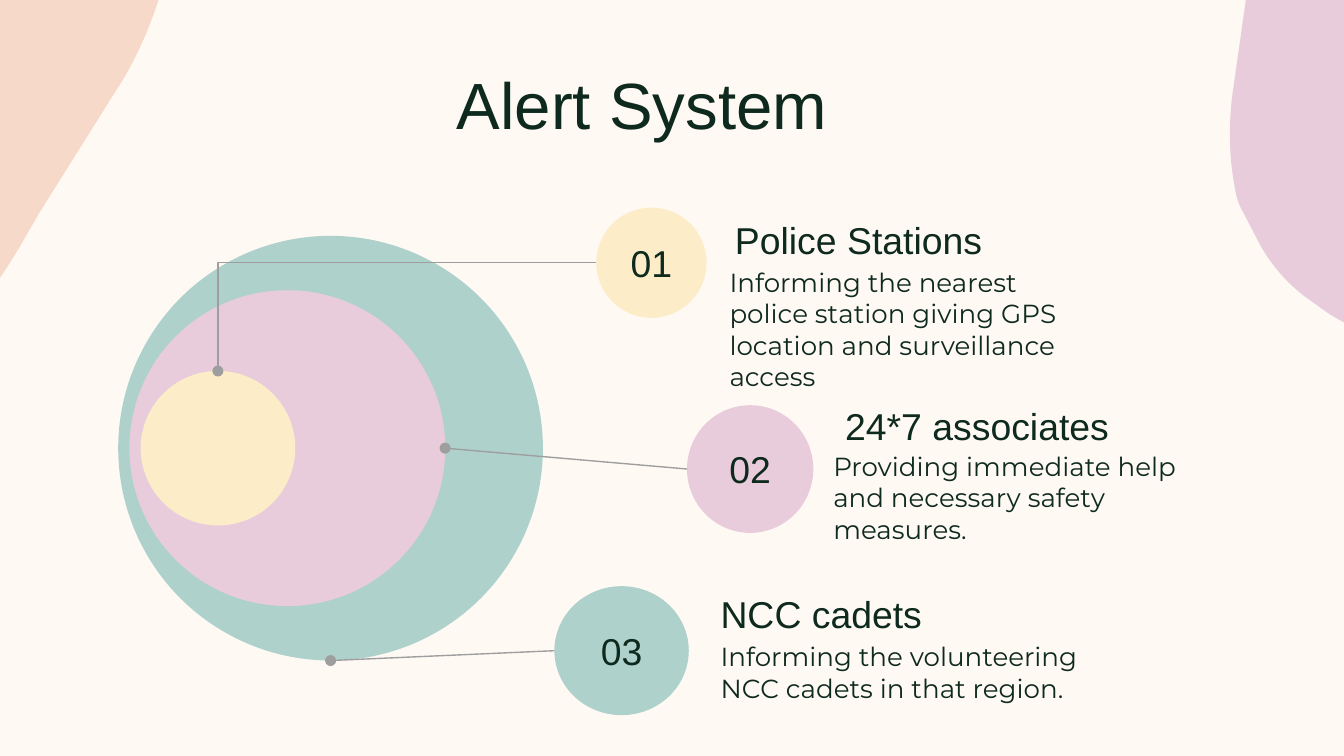
from dataclasses import dataclass
from math import cos, radians, sin

from lxml.etree import SubElement
from pptx import Presentation
from pptx.dml.color import RGBColor
from pptx.enum.shapes import MSO_CONNECTOR as Link, MSO_SHAPE as Shape
from pptx.enum.text import MSO_ANCHOR as Anchor, PP_ALIGN as Align
from pptx.oxml.ns import qn
from pptx.util import Emu, Inches, Pt

Box = tuple[float, float, float, float]
Point = tuple[float, float]

COLUMNS = 100  # square grid cells across the slide
WIDTH = Inches(10)
HEIGHT = Emu(WIDTH * 9 // 16)


@dataclass(frozen=True)
class Theme:
    background: str = "FFF9F4"
    ink: str = "0E291E"
    teal: str = "AFD1CC"
    pink: str = "E9CCDB"
    cream: str = "FDECC8"
    peach: str = "EEAE91"
    line: str = "9E9E9E"
    head_font: str = "Arial"
    body_font: str = "Montserrat"
    title_size: int = 35
    head_size: int = 20
    body_size: int = 14
    line_width: float = 0.75


T = Theme()


@dataclass(frozen=True)
class Level:
    """One alert level: nested disc, badge, texts and the link between them."""
    number: str
    heading: str
    body: str
    color: str
    disc: Box
    badge: Box
    heading_box: Box
    body_box: Box
    link_end: Point
    bent: bool = False


LEVELS = [
    Level("03", "NCC cadets", "Informing the volunteering NCC cadets in that region.", T.teal,
          (8.8, 17.55, 31.6, 31.6), (41.25, 43.62, 10, 9.6),
          (52.63, 42.7, 26.7, 5.6), (52.63, 46.68, 29.4, 8), (24.6, 49.15)),
    Level("02", "24*7 associates", "Providing immediate help and necessary safety measures.", T.pink,
          (9.63, 21.6, 23.5, 23.5), (51.12, 30.15, 9.4, 9.5),
          (61.9, 28.73, 26.7, 5.6), (61.02, 32.5, 28.4, 7.6), (33.12, 33.35)),
    Level("01", "Police Stations",
          "Informing the nearest police station giving GPS location and surveillance access", T.cream,
          (10.47, 27.6, 11.5, 11.5), (44.37, 15.45, 8.2, 8.2),
          (53.7, 15.7, 21.8, 4.8), (53.3, 18.82, 28.4, 7.6), (16.22, 27.6), bent=True),
]

# Outlines in grid cells: a pair is a line's end, a triple of pairs is a curve.
PEACH_BLOB = [
    (-21.4, 31.4), (-6.9, -22.7), (11.7, -17.7), (12.1, -16.4), (12.4, -15.1),
    ((13.5, -10.3), (13.2, -5), (11.7, -0.1)), ((10.9, 2.3), (9.9, 4.6), (8.5, 6.7)),
    (2.8, 15.8), (1.3, 18.4), ((-2.2, 24.2), (-6.9, 29.1), (-12.2, 32.5)), (-13.7, 33.5)]
PINK_BLOB = [
    (92.7, 0), (91.8, 6.3), ((91.4, 8.9), (91.4, 11.5), (91.9, 14.1)),
    ((92, 14.7), (92.2, 15.3), (92.5, 15.8)), (93.8, 18.3),
    ((94.6, 19.7), (95.7, 21), (97, 22)), (98.8, 23.3),
    ((99.3, 23.6), (99.8, 23.9), (100.2, 24.1)), (100.2, 0)]


def cells(*values: float) -> list[Emu]:
    return [Emu(round(v * WIDTH / COLUMNS)) for v in values]


def rgb(color: str) -> RGBColor:
    return RGBColor.from_string(color)


def paint(sp, color: str) -> None:
    sp.shadow.inherit = False
    sp.fill.solid()
    sp.fill.fore_color.rgb = rgb(color)
    sp.line.fill.background()


def write(sp, text: str, *, size: int = T.head_size, font: str = T.head_font,
          align=Align.LEFT, anchor=Anchor.MIDDLE) -> None:
    tf = sp.text_frame
    tf.word_wrap = True
    tf.vertical_anchor = anchor
    tf.margin_left = tf.margin_top = tf.margin_right = tf.margin_bottom = Inches(0.1)
    p = tf.paragraphs[0]
    p.alignment = align
    r = p.add_run()
    r.text = text
    r.font.size, r.font.name = Pt(size), font
    r.font.color.rgb = rgb(T.ink)


def flatten(outline: list, steps: int = 12) -> list[Point]:
    """Replace each cubic curve by short straight pieces."""
    points = [outline[0]]
    for part in outline[1:]:
        if len(part) == 2:
            points.append(part)
            continue
        a, (b, c, d) = points[-1], part
        for t in (i / steps for i in range(1, steps + 1)):
            s = 1 - t
            points.append(tuple(s**3 * a[k] + 3 * s * s * t * b[k] + 3 * s * t * t * c[k] + t**3 * d[k]
                                for k in (0, 1)))
    return points


def turn(point: Point, center: Point, degrees: float) -> Point:
    x, y = point[0] - center[0], point[1] - center[1]
    c, s = cos(radians(degrees)), sin(radians(degrees))
    return center[0] + x * c - y * s, center[1] + x * s + y * c


def add_blob(slide, points: list[Point], color: str):
    start, *rest = [cells(*point) for point in points]
    builder = slide.shapes.build_freeform(*start)
    builder.add_line_segments(rest, close=True)
    sp = builder.convert_to_shape()
    paint(sp, color)
    return sp


def add_circle(slide, box: Box, color: str):
    sp = slide.shapes.add_shape(Shape.OVAL, *cells(*box))
    paint(sp, color)
    return sp


def add_link(slide, level: Level) -> None:
    left, top, _, height = level.badge
    kind = Link.ELBOW if level.bent else Link.STRAIGHT
    link = slide.shapes.add_connector(kind, *cells(left, top + height / 2, *level.link_end))
    link.line.color.rgb = rgb(T.line)
    link.line.width = Pt(T.line_width)
    sp_pr = link._element.spPr
    if level.bent:
        sp_pr.find(qn("a:prstGeom")).set("prst", "bentConnector2")
    SubElement(sp_pr.find(qn("a:ln")), qn("a:tailEnd"), type="oval")
    SubElement(sp_pr, qn("a:effectLst"))


def add_level_text(slide, level: Level) -> None:
    write(add_circle(slide, level.badge, level.color), level.number, align=Align.CENTER)
    write(slide.shapes.add_textbox(*cells(*level.body_box)), level.body,
          size=T.body_size, font=T.body_font, anchor=Anchor.TOP)
    write(slide.shapes.add_textbox(*cells(*level.heading_box)), level.heading, anchor=Anchor.BOTTOM)


def add_backdrop(slide) -> None:
    slide.background.fill.solid()
    slide.background.fill.fore_color.rgb = rgb(T.background)
    center, angle = (-2.6, 7.5), 195
    peach = add_blob(slide, [turn(p, center, -angle) for p in flatten(PEACH_BLOB)], T.peach)
    peach.rotation = angle
    color = peach._element.spPr.find(qn("a:solidFill"))[0]
    SubElement(color, qn("a:alpha"), val="42000")
    add_blob(slide, flatten(PINK_BLOB), T.pink)


def main() -> None:
    prs = Presentation()
    prs.slide_width, prs.slide_height = WIDTH, HEIGHT
    slide = prs.slides.add_slide(prs.slide_layouts[5])
    add_backdrop(slide)
    title = slide.shapes.title
    title.left, title.top, title.width, title.height = cells(6.25, 2.75, 84.4, 9.9)
    write(title, "Alert System ", size=T.title_size, align=Align.CENTER)
    for level in LEVELS:
        add_circle(slide, level.disc, level.color)
    for level in LEVELS:
        add_level_text(slide, level)
    for level in LEVELS:
        add_link(slide, level)
    prs.save("out.pptx")


if __name__ == "__main__":
    main()
